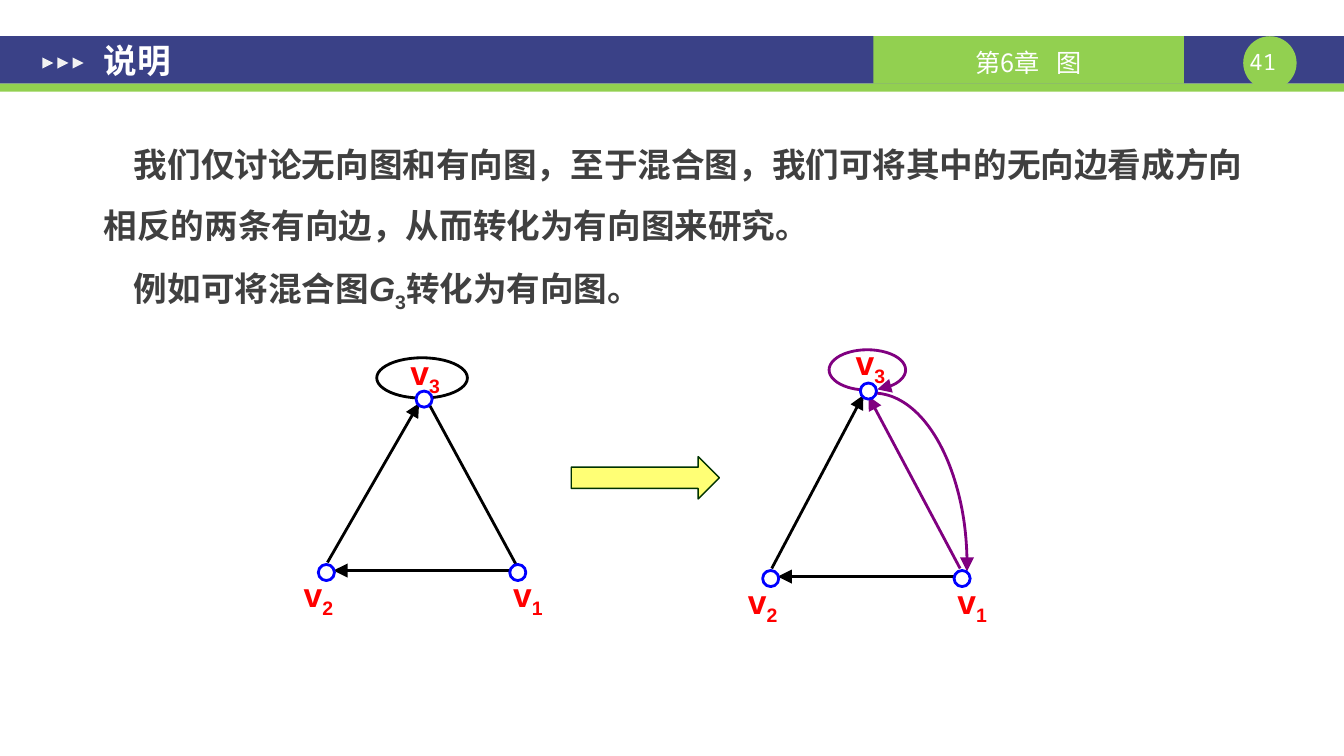
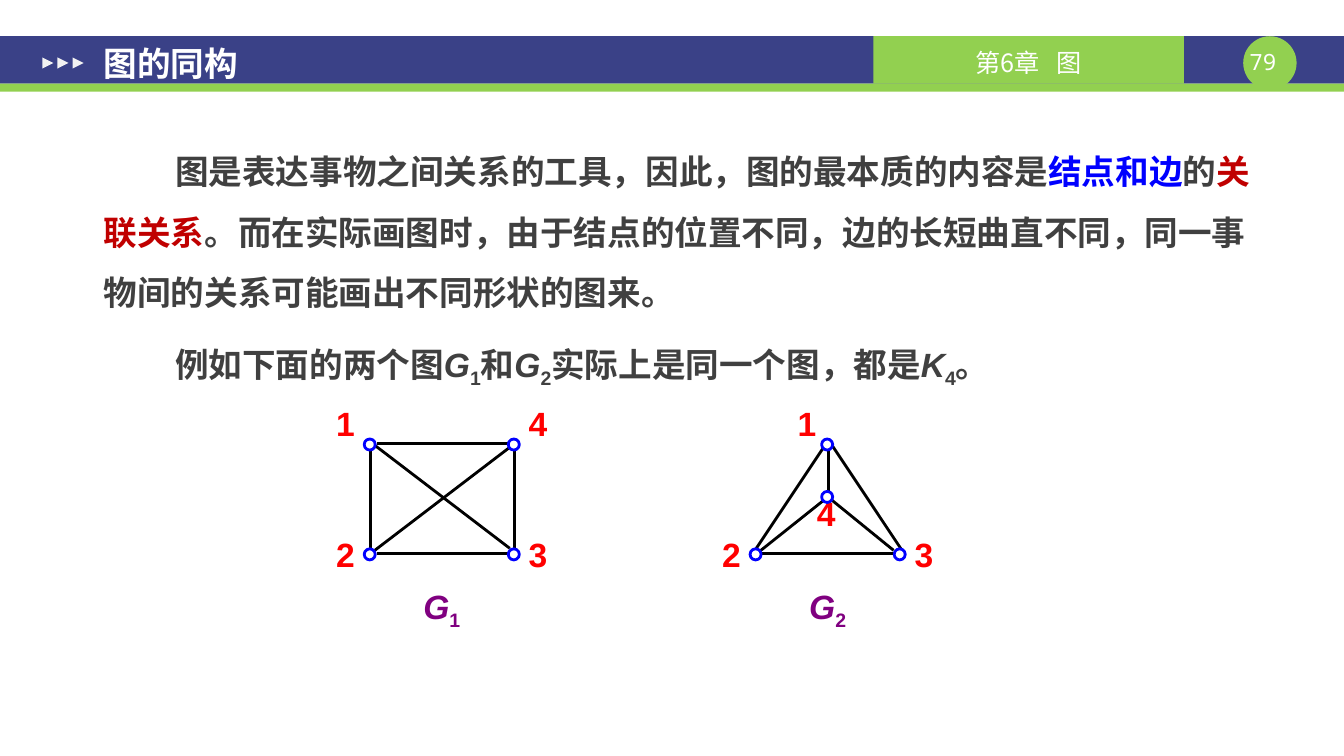
"""Build two graph-theory slides: converting a mixed graph and graph isomorphism."""
import pptx
import pptx.dml.color
import pptx.enum.shapes
import pptx.enum.text
import pptx.oxml.ns
import pptx.util
from lxml import etree

PX = 9144
COLORS = {
    "navy": "3A4187", "green": "92D050", "white": "FFFFFF", "marker": "F2F2F2",
    "body": "404040", "blue": "0000FF", "crimson": "C00000", "red": "FF0000",
    "purple": "800080", "black": "000000", "yellow": "FFFF66", "forest": "003300",
}
RUN_STYLES = {
    "plain": {},
    "italic": {"i": "1"},
    "sub": {"baseline": "-25000"},
    "wide": {"spc": "800"},
}
LATIN_FONT = "Arial"
CHINESE_FONT = "Noto Sans CJK SC"
NUMBER_FONT = "Noto Sans Mono"
SHAPES = pptx.enum.shapes.MSO_SHAPE
ALIGN = pptx.enum.text.PP_ALIGN
ANCHOR = pptx.enum.text.MSO_ANCHOR
qn = pptx.oxml.ns.qn


def emu(*lengths):
    """Turn px lengths into a list of EMU lengths."""
    return [round(length * PX) for length in lengths]


def rgb(color):
    """Look up a named colour."""
    return pptx.dml.color.RGBColor.from_string(COLORS[color])


def write(shape, paragraphs, color, size=24, font=LATIN_FONT, bold=True, align=ALIGN.CENTER,
          anchor=ANCHOR.TOP, insets=(0, 0, 0, 0), indent=0, line_spacing=None, gap=0):
    """Fill a shape with paragraphs, each a list of (text, style or colour) runs."""
    frame = shape.text_frame
    frame.word_wrap = True
    frame.auto_size = pptx.enum.text.MSO_AUTO_SIZE.NONE
    frame.vertical_anchor = anchor
    frame.margin_left, frame.margin_top, frame.margin_right, frame.margin_bottom = emu(*insets)
    for index, runs in enumerate(paragraphs):
        paragraph = frame.add_paragraph() if index else frame.paragraphs[0]
        paragraph.alignment = align
        paragraph.line_spacing = line_spacing
        if index and gap:
            paragraph.space_before = pptx.util.Pt(gap)
        if indent:
            properties = paragraph._p.get_or_add_pPr()
            properties.set("marL", "0")
            properties.set("indent", str(indent * PX))
        paragraph.font.name = font
        paragraph.font.size = pptx.util.Pt(size)
        paragraph.font.bold = bold
        paragraph.font.color.rgb = rgb(color)
        for text, style in runs:
            run = paragraph.add_run()
            run.text = text
            if style in COLORS:
                run.font.color.rgb = rgb(style)
            else:
                for name, value in RUN_STYLES[style].items():
                    run._r.get_or_add_rPr().set(name, value)
    for latin in list(shape.element.iter(qn("a:latin"))):
        east_asian = etree.Element(qn("a:ea"), typeface=CHINESE_FONT)
        latin.addnext(east_asian)


def add_text(slide, box, paragraphs, color, **options):
    """Add a text box."""
    write(slide.shapes.add_textbox(*emu(*box)), paragraphs, color, **options)


def add_shape(slide, kind, box, fill, line=None, width=2):
    """Add a filled preset shape, outlined if a line colour is given."""
    shape = slide.shapes.add_shape(kind, *emu(*box))
    shape.shadow.inherit = False
    shape.fill.solid()
    shape.fill.fore_color.rgb = rgb(fill)
    if line:
        shape.line.color.rgb = rgb(line)
        shape.line.width = pptx.util.Pt(width)
    else:
        shape.line.fill.background()
    return shape


def style_edge(edge, color, arrow):
    """Give an edge its colour, width and optional arrowhead."""
    edge.line.color.rgb = rgb(color)
    edge.line.width = pptx.util.Pt(2)
    if arrow:
        outline = edge.element.spPr.find(qn("a:ln"))
        etree.SubElement(outline, qn("a:tailEnd"), type="triangle", w="lg", len="lg")


def add_edge(slide, start, end, color="black", arrow=False):
    """Draw a straight edge."""
    edge = slide.shapes.add_connector(pptx.enum.shapes.MSO_CONNECTOR.STRAIGHT, *emu(*start, *end))
    style_edge(edge, color, arrow)
    etree.SubElement(edge.element.spPr, qn("a:effectLst"))


def add_arc(slide, center, radii, first, last, color, arrow=False):
    """Draw an elliptical edge clockwise between two angles in degrees."""
    box = (center[0] - radii[0], center[1] - radii[1], 2 * radii[0], 2 * radii[1])
    edge = slide.shapes.add_shape(SHAPES.ARC, *emu(*box))
    edge.adjustments[0] = first * 0.6
    edge.adjustments[1] = last * 0.6
    edge.shadow.inherit = False
    edge.fill.background()
    style_edge(edge, color, arrow)


def add_node(slide, center, size):
    """Draw a graph node around its centre."""
    box = (center[0] - size / 2, center[1] - size / 2, size, size)
    add_shape(slide, SHAPES.OVAL, box, "white", "blue")


def add_header(slide, box, title, number, title_box):
    """Draw the title band with chapter, slide number and title."""
    left, top, width, height = box
    add_shape(slide, SHAPES.RECTANGLE, box, "navy")
    add_shape(slide, SHAPES.RECTANGLE, (left, top + height, width, 8), "green")
    add_shape(slide, SHAPES.OVAL, (left + 1234, top, 53, 53), "green")
    add_text(slide, (left + 1227, top + 12, 53, 27), [[(number, "plain")]], "white",
             size=16, font=NUMBER_FONT, bold=False)
    chapter = add_shape(slide, SHAPES.RECTANGLE, (left + 867, top, 308, height), "green")
    write(chapter, [[("第6章", "plain"), (" ", "wide"), ("图", "plain")]], "white", size=18,
          font=CHINESE_FONT, bold=False, anchor=ANCHOR.MIDDLE, insets=(10, 4, 10, 0))
    for index in range(3):
        marker_box = (left + 42 + 15 * index, top + 21, 11, 11)
        marker = add_shape(slide, SHAPES.ISOSCELES_TRIANGLE, marker_box, "marker")
        marker.rotation = 90
    placeholder = slide.shapes.title
    placeholder.left, placeholder.top, placeholder.width, placeholder.height = emu(*title_box)
    write(placeholder, [[(title, "plain")]], "white", align=ALIGN.LEFT,
          anchor=ANCHOR.MIDDLE, insets=(13, 7, 13, 7))
    placeholder.element.getparent().append(placeholder.element)


def add_slide(presentation, title, number, title_box):
    """Add a title-only slide with the shared header."""
    slide = presentation.slides.add_slide(presentation.slide_layouts[5])
    add_header(slide, (0, 36, 1334, 47), title, number, title_box)
    return slide


def add_body(slide, box, paragraphs, indent, gap=0):
    """Add the explanatory text."""
    add_text(slide, box, paragraphs, "body", align=ALIGN.LEFT, insets=(13, 7, 13, 7),
             indent=indent, line_spacing=1.5, gap=gap)


def add_triangle_graph(slide, box, directed):
    """Draw the mixed graph, or its directed form, with node centres on the box."""
    left, top, width, height = box
    bottom, apex = top + height, left + 97
    if directed:
        apex_label, drop = (2, -49), 2
        add_arc(slide, (apex - 1, top - 21), (38, 20), 103, 63, "purple", arrow=True)
        add_edge(slide, (left + 188, bottom - 10), (apex, top + 5), "purple", arrow=True)
        add_arc(slide, (apex + 5, bottom - 12), (93, 172), 270, 3, "purple", arrow=True)
    else:
        apex_label, drop = (1, -47), 1
        add_arc(slide, (apex - 2, top - 21), (45, 20), 106, 62, "black")
        add_edge(slide, (apex, top - 4), (left + width + 2, bottom - 1))
    add_edge(slide, (left + 183, bottom - 2), (left + 7, bottom - 2), arrow=True)
    add_edge(slide, (left + 1, bottom - 10), (left + 92, top + 4), arrow=True)
    nodes = {"1": (left + width, bottom, 10, drop), "2": (left, bottom, -8, drop),
             "3": (apex, top, *apex_label)}
    for digit, (x, y, shift, label_drop) in nodes.items():
        add_text(slide, (x + shift - 27, y + label_drop, 54, 40),
                 [[("v", "plain"), (digit, "sub")]], "red")
        add_node(slide, (x, y), 16)


def add_complete_graph(slide, box, digit, nodes, edges):
    """Draw K4 from nodes (x, y, label shift, label drop) and edges in the box."""
    left, top, width, height = box
    for x1, y1, x2, y2 in edges:
        add_edge(slide, (left + x1, top + y1), (left + x2, top + y2))
    add_text(slide, (left + width / 2 - 36, top + height + 31, 72, 60),
             [[("G", "italic"), (digit, "sub")]], "purple")
    for index, (x, y, shift, drop) in enumerate(nodes):
        add_text(slide, (left + x + shift - 18, top + y + drop, 36, 47),
                 [[(str(index + 1), "plain")]], "red")
    for x, y, shift, drop in nodes:
        add_node(slide, (left + x, top + y), 11)


def build_conversion_slide(presentation):
    """Build the slide that turns a mixed graph into a directed one."""
    slide = add_slide(presentation, "说明", "41", (90, 17, 1027, 86))
    add_body(slide, (90, 116, 1176, 201), [
        [("我们仅讨论无向图和有向图，至于混合图，我们可将其中的无向边看成方向相反的两条有向边，"
          "从而转化为有向图来研究。", "plain")],
        [("例如可将混合图", "plain"), ("G", "italic"), ("3", "sub"),
         ("转化为有向图。", "plain")],
    ], indent=30)
    add_triangle_graph(slide, (765, 388, 190, 186), directed=True)
    add_triangle_graph(slide, (324, 396, 190, 172), directed=False)
    arrow = add_shape(slide, SHAPES.RIGHT_ARROW, (567, 453, 147, 42), "yellow", "forest", width=1)
    fill_color = arrow.element.spPr.find(qn("a:solidFill"))[0]
    etree.SubElement(fill_color, qn("a:alpha"), val="90000")


def build_isomorphism_slide(presentation):
    """Build the slide that shows two drawings of K4."""
    slide = add_slide(presentation, "图的同构", "79", (90, 19, 1027, 88))
    add_body(slide, (90, 123, 1176, 289), [
        [("图是表达事物之间关系的工具，因此，图的最本质的内容是", "plain"),
         ("结点和边", "blue"), ("的", "plain"), ("关联关系", "crimson"),
         ("。而在实际画图时，由于结点的位置不同，边的长短曲直不同，"
          "同一事物间的关系可能画出不同形状的图来。", "plain")],
        [("例如下面的两个图", "plain"), ("G", "italic"), ("1", "sub"), ("和", "plain"),
         ("G", "italic"), ("2", "sub"), ("实际上是同一个图，都是", "plain"),
         ("K", "italic"), ("4", "sub"), ("。", "plain")],
    ], indent=71, gap=6)
    add_complete_graph(
        slide, (367, 441, 143, 109), "1",
        [(0, 0, -24, -41), (0, 109, -24, -20), (143, 109, 24, -20), (143, 0, 24, -41)],
        [(7, -1, 138, -1), (7, 108, 138, 108), (1, 2, 1, 105),
         (144, 2, 144, 105), (140, 2, 5, 105), (4, 0, 139, 103)])
    add_complete_graph(
        slide, (750, 441, 143, 109), "2",
        [(71, 0, -20, -41), (0, 109, -24, -20), (143, 109, 24, -20), (71, 52, -1, -4)],
        [(72, 4, 72, 47), (6, 108, 138, 108), (70, -1, 0, 104),
         (76, 1, 146, 106), (68, 55, 4, 106), (73, 53, 137, 105)])


def main():
    """Build and save the presentation."""
    presentation = pptx.Presentation()
    presentation.slide_width, presentation.slide_height = emu(1334, 750)
    build_conversion_slide(presentation)
    build_isomorphism_slide(presentation)
    presentation.save("out.pptx")


if __name__ == "__main__":
    main()
